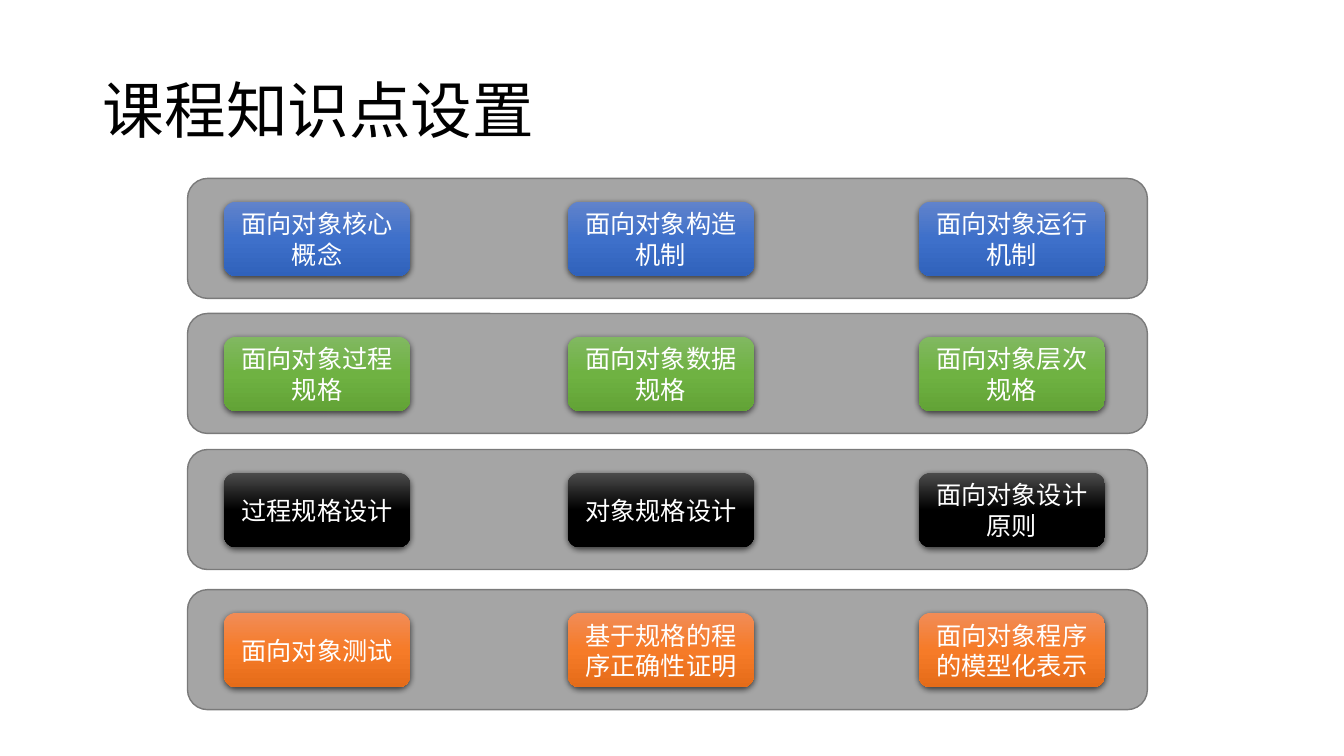
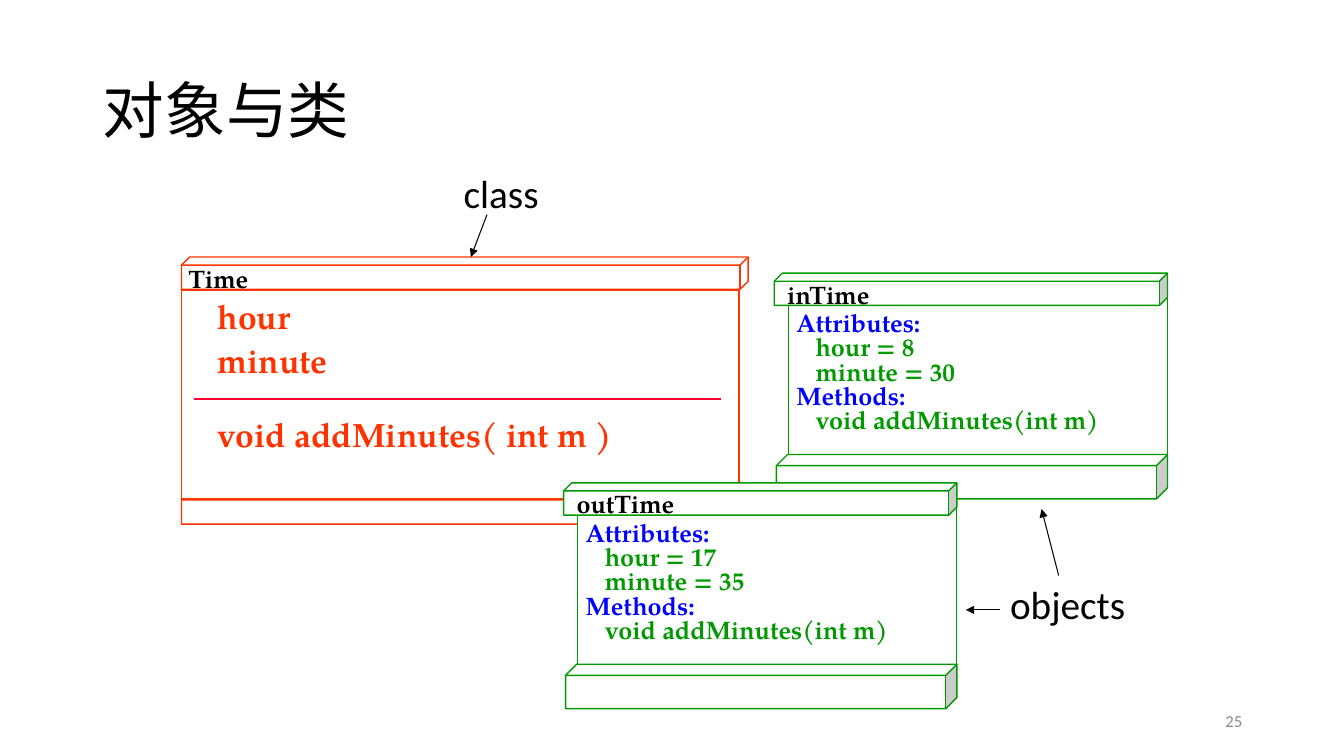
import copy
import dataclasses

import lxml.etree
import pptx
import pptx.dml.color
import pptx.enum.shapes
import pptx.enum.text
import pptx.oxml.ns
import pptx.util

Inches = pptx.util.Inches
Pt = pptx.util.Pt
SHAPES = pptx.enum.shapes.MSO_SHAPE
ALIGN = pptx.enum.text.PP_ALIGN
ANCHOR = pptx.enum.text.MSO_ANCHOR
qn = pptx.oxml.ns.qn


@dataclasses.dataclass(frozen=True)
class Theme:
    """Colours, fonts and type sizes shared by the slides."""
    black: str = "000000"
    white: str = "FFFFFF"
    band: str = "A5A5A5"
    band_edge: str = "7A7A7A"
    blue: tuple = ("6183CB", "3E70CA", "3062BB")
    green: tuple = ("81B861", "6FB242", "62A336")
    dark: tuple = ("4B4B4B", "000000", "000000")
    orange: tuple = ("F18C57", "F67B28", "E56C19")
    class_red: str = "FF3300"
    divider: str = "FF0033"
    object_green: str = "009900"
    heading_blue: str = "0000FF"
    page_grey: str = "8C8C8C"
    sans: str = "Calibri"
    serif: str = "TeX Gyre Pagella"
    title_size: int = 44
    label_size: int = 28
    member_size: int = 24
    body_size: int = 18
    page_size: int = 12


THEME = Theme()


def rgb(value):
    """Turn a hex string into a colour."""
    return pptx.dml.color.RGBColor.from_string(value)


def write(paragraph, text, size, colour, font=THEME.sans, bold=False):
    """Add one formatted run to a paragraph."""
    run = paragraph.add_run()
    run.text = text
    run.font.size = Pt(size)
    run.font.name = font
    run.font.bold = bold
    run.font.color.rgb = rgb(colour)


def add_titled_slide(deck, text):
    """Add a title-only slide with the shared title style."""
    slide = deck.slides.add_slide(deck.slide_layouts[5])
    title = slide.shapes.title
    title.left, title.top = Inches(0.92), Inches(0.4)
    title.width, title.height = Inches(11.5), Inches(1.45)
    frame = title.text_frame
    frame.auto_size = pptx.enum.text.MSO_AUTO_SIZE.NONE
    frame.vertical_anchor = ANCHOR.MIDDLE
    paragraph = frame.paragraphs[0]
    paragraph.alignment = ALIGN.LEFT
    paragraph.line_spacing = 0.9
    write(paragraph, text, THEME.title_size, THEME.black)
    return slide


def add_panel(slide, kind, box, fill=None, edge=None):
    """Add a flat preset shape, with optional fill and outline."""
    panel = slide.shapes.add_shape(kind, *map(Inches, box))
    panel.shadow.inherit = False
    if fill:
        panel.fill.solid()
        panel.fill.fore_color.rgb = rgb(fill)
    else:
        panel.fill.background()
    if edge:
        panel.line.color.rgb = rgb(edge)
        panel.line.width = Pt(1)
    else:
        panel.line.fill.background()
    return panel


def apply_gradient(panel, colours):
    """Fill a shape with a three-stop gradient from top to bottom."""
    panel.fill.gradient()
    panel.fill.gradient_angle = 270
    stop_list = panel._element.spPr.find(".//" + qn("a:gsLst"))
    stop_list.insert(1, copy.deepcopy(stop_list[0]))
    for stop, colour, position in zip(panel.fill.gradient_stops, colours, (0, 0.5, 1)):
        stop.color.rgb = rgb(colour)
        stop.position = position


def apply_shadow(panel):
    """Give a shape a soft shadow below."""
    effects = panel._element.spPr.find(qn("a:effectLst"))
    shadow = lxml.etree.SubElement(
        effects, qn("a:outerShdw"), blurRad=str(int(Pt(4.5))),
        dist=str(int(Pt(1.5))), dir="5400000", algn="ctr", rotWithShape="0")
    colour = lxml.etree.SubElement(shadow, qn("a:srgbClr"), val=THEME.black)
    lxml.etree.SubElement(colour, qn("a:alpha"), val="63000")


def add_topic(slide, box, text, colours):
    """Add one raised topic button."""
    topic = add_panel(slide, SHAPES.ROUNDED_RECTANGLE, box)
    apply_gradient(topic, colours)
    apply_shadow(topic)
    topic.text_frame.word_wrap = True
    topic.text_frame.vertical_anchor = ANCHOR.MIDDLE
    paragraph = topic.text_frame.paragraphs[0]
    paragraph.alignment = ALIGN.CENTER
    write(paragraph, text, THEME.body_size, THEME.white)


def add_text_frame(slide, box, wrap=True):
    """Add a text box and return its frame."""
    frame = slide.shapes.add_textbox(*map(Inches, box)).text_frame
    frame.word_wrap = wrap
    return frame


def add_label(slide, box, text):
    """Add a large caption."""
    frame = add_text_frame(slide, box)
    write(frame.paragraphs[0], text, THEME.label_size, THEME.black)


def add_name(slide, box, text):
    """Add the bold name on a header bar."""
    frame = add_text_frame(slide, box, wrap=False)
    write(frame.paragraphs[0], text, THEME.body_size, THEME.black, THEME.serif, True)


def add_members(slide, box, size, members):
    """Add tight lines given as text, colour, indent and space before."""
    frame = add_text_frame(slide, box)
    for index, (text, colour, indent, before) in enumerate(members):
        paragraph = frame.add_paragraph() if index else frame.paragraphs[0]
        paragraph.line_spacing = 0.8
        paragraph.space_before = Pt(before)
        paragraph._p.get_or_add_pPr().set("marL", str(int(Inches(indent))))
        write(paragraph, text, size, colour, THEME.serif, True)


def add_line(slide, start, end, colour, width, arrow=False):
    """Add a straight line, with an arrowhead at its end if asked."""
    line = slide.shapes.add_connector(
        pptx.enum.shapes.MSO_CONNECTOR.STRAIGHT, *map(Inches, start + end))
    line.line.color.rgb = rgb(colour)
    line.line.width = Pt(width)
    if arrow:
        lxml.etree.SubElement(line.line._get_or_add_ln(), qn("a:tailEnd"), type="triangle")
    lxml.etree.SubElement(line._element.spPr, qn("a:effectLst"))


def add_class_card(slide):
    """Draw the Time class with its attributes and method."""
    red = THEME.class_red
    for top in (2.55, 4.88):
        add_panel(slide, SHAPES.CUBE, (1.8, top, 5.62, 0.32), edge=red)
    add_panel(slide, SHAPES.RECTANGLE, (1.8, 2.88, 5.53, 2.07), THEME.white, red)
    add_members(slide, (2.06, 2.96, 5.1, 1.64), THEME.member_size, [
        ("hour", red, 0, 0),
        ("minute", red, 0, 8.4),
        ("void addMinutes( int m )", red, 0, 30),
    ])
    add_name(slide, (1.77, 2.56, 0.8, 0.4), "Time")
    add_line(slide, (1.92, 3.96), (7.15, 3.96), THEME.divider, 1)


def add_object_card(slide, left, top, name, name_width, hour, minute):
    """Draw one object with its attribute values and method."""
    green, blue = THEME.object_green, THEME.heading_blue
    for kind, dx, dy, width, height in (
            (SHAPES.RECTANGLE, 0.14, 0.02, 3.76, 2.1),
            (SHAPES.CUBE, 0, 0, 3.9, 0.32),
            (SHAPES.CUBE, 0.02, 1.8, 3.88, 0.44)):
        add_panel(slide, kind, (left + dx, top + dy, width, height), THEME.white, green)
    add_name(slide, (left + 0.03, top + 0.01, name_width, 0.4), name)
    add_members(slide, (left + 0.12, top + 0.35, 3.61, 1.31), THEME.body_size, [
        ("Attributes:", blue, 0, 0),
        (f"hour = {hour}", green, 0.19, 0),
        (f"minute = {minute}", green, 0.19, 0),
        ("Methods:", blue, 0, 0),
        ("void addMinutes(int m)", green, 0.19, 0),
    ])


def build_topics(deck):
    """Build the slide of course topics."""
    slide = add_titled_slide(deck, "课程知识点设置")
    rows = (
        (1.77, THEME.blue, ("面向对象核心概念", "面向对象构造机制", "面向对象运行机制")),
        (3.11, THEME.green, ("面向对象过程规格", "面向对象数据规格", "面向对象层次规格")),
        (4.46, THEME.dark, ("过程规格设计", "对象规格设计", "面向对象设计原则")),
        (5.85, THEME.orange, ("面向对象测试", "基于规格的程序正确性证明", "面向对象程序的模型化表示")),
    )
    for top, colours, topics in rows:
        add_panel(slide, SHAPES.ROUNDED_RECTANGLE, (1.86, top, 9.52, 1.19),
                  THEME.band, THEME.band_edge)
        for left, topic in zip((2.22, 5.63, 9.11), topics):
            add_topic(slide, (left, top + 0.23, 1.85, 0.74), topic, colours)


def build_objects(deck):
    """Build the slide that compares a class with its objects."""
    slide = add_titled_slide(deck, "对象与类")
    page = add_text_frame(slide, (9.42, 6.95, 3, 0.4))
    page.vertical_anchor = ANCHOR.MIDDLE
    page.paragraphs[0].alignment = ALIGN.RIGHT
    write(page.paragraphs[0], "25", THEME.page_size, THEME.page_grey)
    add_class_card(slide)
    add_object_card(slide, 7.68, 2.71, "inTime", 1.03, 8, 30)
    add_object_card(slide, 5.59, 4.79, "outTime", 1.17, 17, 35)
    add_label(slide, (4.5, 1.63, 2.25, 0.57), "class")
    add_label(slide, (9.92, 5.71, 1.5, 0.57), "objects")
    for start, end in (((4.83, 2.13), (4.67, 2.55)),
                       ((10.5, 5.71), (10.33, 5.05)),
                       ((9.92, 6.05), (9.58, 6.05))):
        add_line(slide, start, end, THEME.black, 0.75, arrow=True)


def main():
    """Build the deck and save it."""
    deck = pptx.Presentation()
    deck.slide_width, deck.slide_height = Inches(13.33), Inches(7.5)
    build_topics(deck)
    build_objects(deck)
    deck.save("out.pptx")


if __name__ == "__main__":
    main()
